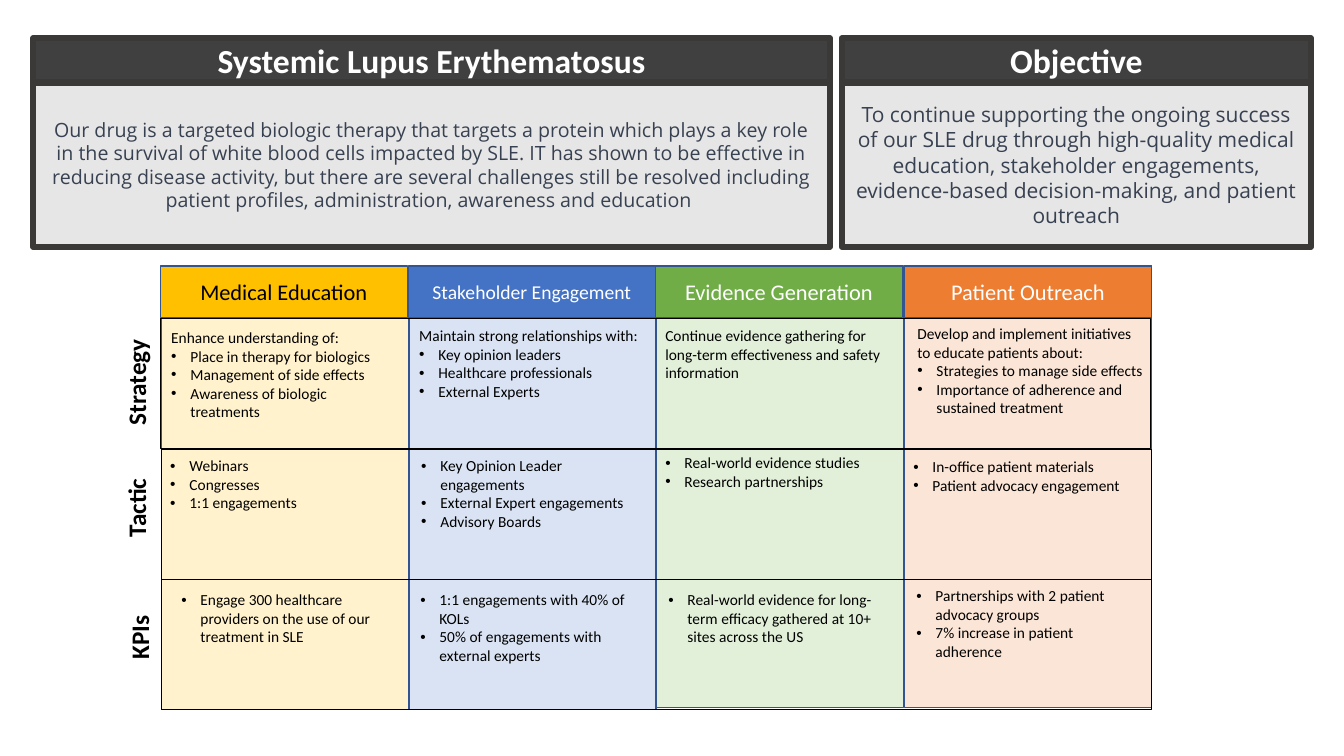
from dataclasses import dataclass

from lxml.etree import SubElement
from pptx import Presentation
from pptx.dml.color import RGBColor as RGB
from pptx.enum.shapes import MSO_SHAPE as Kind
from pptx.enum.text import MSO_ANCHOR as Anchor, MSO_AUTO_SIZE as Fit, PP_ALIGN as Align
from pptx.oxml.ns import qn
from pptx.util import Inches, Pt


@dataclass(frozen=True)
class Theme:
    font: str = "Calibri"
    prose: str = "Open Sans"
    white: str = "FFFFFF"
    black: str = "000000"
    slate: str = "374151"
    band: str = "404040"
    panel: str = "E7E6E6"
    frame: str = "3B3838"
    edge: str = "325491"
    head: int = 24
    label: int = 18
    body: int = 11


@dataclass(frozen=True)
class Box:
    left: float
    top: float
    width: float
    height: float

    def place(self) -> list:
        return [Inches(v) for v in (self.left, self.top, self.width, self.height)]


@dataclass(frozen=True)
class Panel:
    left: float
    width: float
    title: str
    text: str
    size: int


@dataclass(frozen=True)
class Cell:
    left: float
    top: float
    lines: int
    items: tuple
    lead: str = ""


@dataclass(frozen=True)
class Pillar:
    name: str
    size: int
    ink: str
    fill: str
    tint: str
    left: float
    top: float
    cells: tuple


@dataclass(frozen=True)
class Row:
    name: str
    left: float
    label: Box
    width: float


T = Theme()
deck = Presentation()
deck.slide_width, deck.slide_height = Inches(13.33), Inches(7.5)
slide = deck.slides.add_slide(deck.slide_layouts[5])


def write(para, text: str, size: int, color: str, font: str = T.font, bold: bool = False) -> None:
    run = para.add_run()
    run.text = text
    for key, value in {"name": font, "size": Pt(size), "bold": bold}.items():
        setattr(run.font, key, value)
    run.font.color.rgb = RGB.from_string(color)


def paint(shape, fill: str | None, line: str, weight: float) -> None:
    if fill:
        shape.fill.solid()
        shape.fill.fore_color.rgb = RGB.from_string(fill)
    else:
        shape.fill.background()
    shape.line.color.rgb = RGB.from_string(line)
    shape.line.width = Pt(weight)


def center(shape, text: str, size: int, color: str, font: str = T.font, bold: bool = False) -> None:
    frame = shape.text_frame
    look = {"word_wrap": True, "auto_size": Fit.NONE, "vertical_anchor": Anchor.MIDDLE}
    for key, value in look.items():
        setattr(frame, key, value)
    frame.paragraphs[0].alignment = Align.CENTER
    write(frame.paragraphs[0], text, size, color, font, bold)


def block(box: Box, fill: str | None, line: str, weight: float):
    shape = slide.shapes.add_shape(Kind.RECTANGLE, *box.place())
    shape.shadow.inherit = False
    paint(shape, fill, line, weight)
    return shape


def dot(para) -> None:
    props = para._p.get_or_add_pPr()
    for key, value in {"marL": Inches(0.19), "indent": -Inches(0.19)}.items():
        props.set(key, str(value))
    SubElement(props, qn("a:buFont")).set("typeface", "Arial")
    SubElement(props, qn("a:buChar")).set("char", "•")


def note(box: Box, wrap: bool):
    frame = slide.shapes.add_textbox(*box.place()).text_frame
    frame.word_wrap, frame.auto_size = wrap, Fit.SHAPE_TO_FIT_TEXT
    return frame


def fill_cell(cell: Cell, width: float) -> None:
    frame = note(Box(cell.left, cell.top, width, 0.1 + 0.185 * cell.lines), True)
    texts = ([cell.lead] if cell.lead else []) + list(cell.items)
    for i, text in enumerate(texts):
        para = frame.add_paragraph() if i else frame.paragraphs[0]
        if text != cell.lead:
            dot(para)
        write(para, text, T.body, T.black)


# Top panels: the first band is the slide title
panels = (
    Panel(0.33, 7.9, "Systemic Lupus Erythematosus",
          "Our drug is a targeted biologic therapy that targets a protein which plays a key role in "
          "the survival of white blood cells impacted by SLE. IT has shown to be effective in "
          "reducing disease activity, but there are several challenges still be resolved including "
          "patient profiles, administration, awareness and education ", 14),
    Panel(8.35, 4.65, "Objective",
          "To continue supporting the ongoing success of our SLE drug through high-quality medical "
          "education, stakeholder engagements, evidence-based decision-making, and patient outreach", 15),
)
for i, panel in enumerate(panels):
    spot = Box(panel.left, 0.38, panel.width, 0.44)
    if i:
        band = block(spot, T.band, T.frame, 4.5)
    else:
        band = slide.shapes.title
        band.left, band.top, band.width, band.height = spot.place()
        paint(band, T.band, T.frame, 4.5)
    center(band, panel.title, T.head, T.white, bold=True)
    body = block(Box(panel.left, 0.82, panel.width, 1.63), T.panel, T.frame, 4.5)
    center(body, panel.text, panel.size, T.slate, T.prose)

# Plan grid: one pillar per column, cells in row order
pillars = (
    Pillar("Medical Education", 16, T.black, "FFC000", "FFF2CC", 1.59, 2.66, (
        Cell(1.6, 3.21, 5, ("Place in therapy for biologics", "Management of side effects",
                            "Awareness of biologic treatments"), "Enhance understanding of:"),
        Cell(1.59, 4.48, 3, ("Webinars", "Congresses", "1:1 engagements")),
        Cell(1.7, 5.81, 3, ("Engage 300 healthcare providers on the use of our treatment in SLE",)))),
    Pillar("Stakeholder Engagement", 14, T.white, "4472C4", "DAE3F3", 4.05, 2.66, (
        Cell(4.06, 3.19, 4, ("Key opinion leaders", "Healthcare professionals", "External Experts"),
             "Maintain strong relationships with:"),
        Cell(4.08, 4.48, 4, ("Key Opinion Leader engagements", "External Expert engagements",
                             "Advisory Boards")),
        Cell(4.07, 5.81, 4, ("1:1 engagements with 40% of KOLs ",
                             "50% of engagements with external experts")))),
    Pillar("Evidence Generation", 16, T.white, "70AD47", "E2F0D9", 6.5, 2.64, (
        Cell(6.5, 3.19, 3, (), "Continue evidence gathering for long-term effectiveness and "
                               "safety information"),
        Cell(6.5, 4.45, 2, ("Real-world evidence studies", "Research partnerships")),
        Cell(6.53, 5.81, 3, ("Real-world evidence for long-term efficacy gathered at 10+ sites "
                             "across the US",)))),
    Pillar("Patient Outreach", 16, T.white, "ED7D31", "FBE5D6", 8.97, 2.64, (
        Cell(9, 3.17, 5, ("Strategies to manage side effects",
                          "Importance of adherence and sustained treatment"),
             "Develop and implement initiatives to educate patients about:"),
        Cell(8.96, 4.49, 2, ("In-office patient materials", "Patient advocacy engagement")),
        Cell(8.99, 5.77, 4, ("Partnerships with 2 patient advocacy groups",
                             "7% increase in patient adherence")))),
)
rows = (
    Row("Strategy", 1.59, Box(0.81, 3.58, 1.08, 0.4), 2.46),
    Row("Tactic", 1.6, Box(0.91, 4.79, 0.88, 0.4), 2.46),
    Row("KPIs", 1.6, Box(0.99, 6.05, 0.78, 0.4), 2.33),
)
for i, pillar in enumerate(pillars):
    block(Box(1.6 + 2.456 * i, pillar.top, 2.45, 4.38), pillar.tint, T.edge, 1)
for pillar in pillars:
    head = block(Box(pillar.left, 2.64, 2.45, 0.51), pillar.fill, T.edge, 1)
    center(head, pillar.name, pillar.size, pillar.ink)

# Row frames, turned labels and cell texts
for i, row in enumerate(rows):
    block(Box(row.left, 3.16 + 1.295 * i, 9.82, 1.29), None, T.black, 0.25)
    frame = note(row.label, False)
    frame.vertical_anchor = Anchor.MIDDLE
    slide.shapes[-1].rotation = 270
    write(frame.paragraphs[0], row.name, T.label, T.black, bold=True)
    for pillar in pillars:
        fill_cell(pillar.cells[i], row.width)

deck.save("out.pptx")
